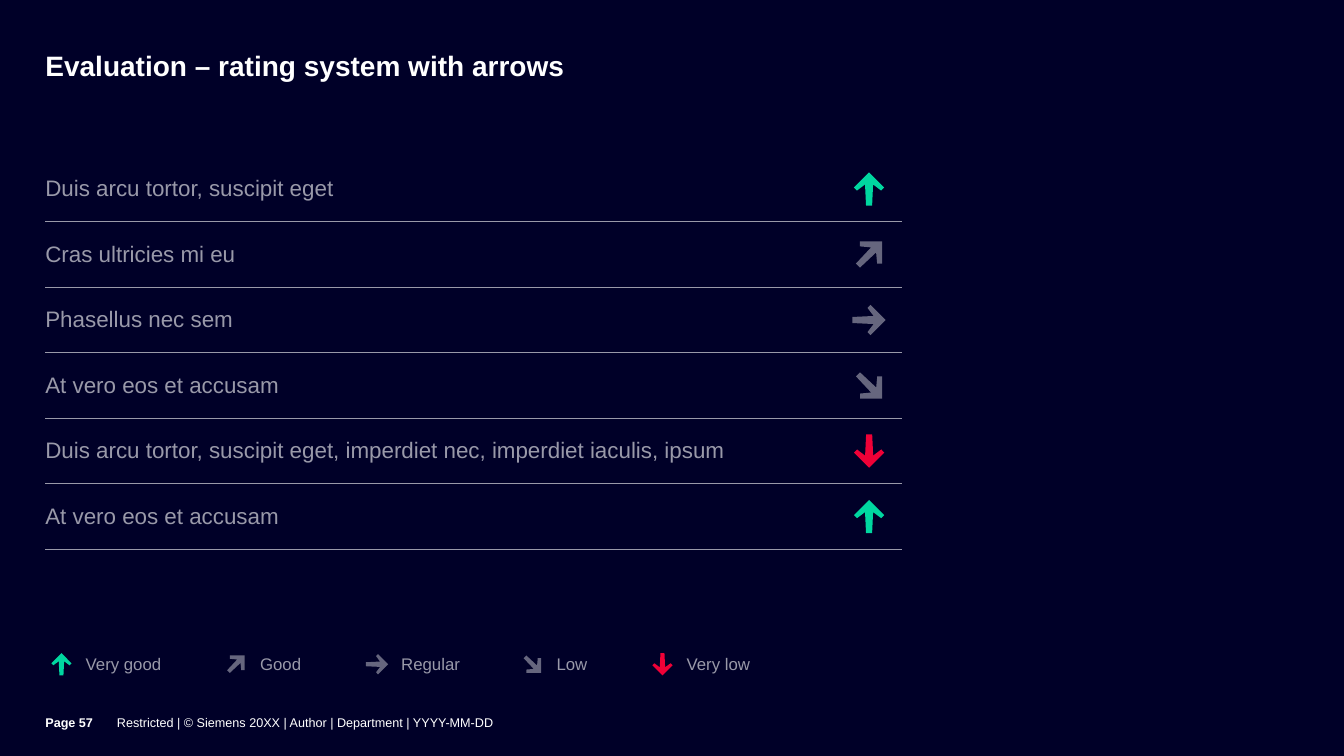
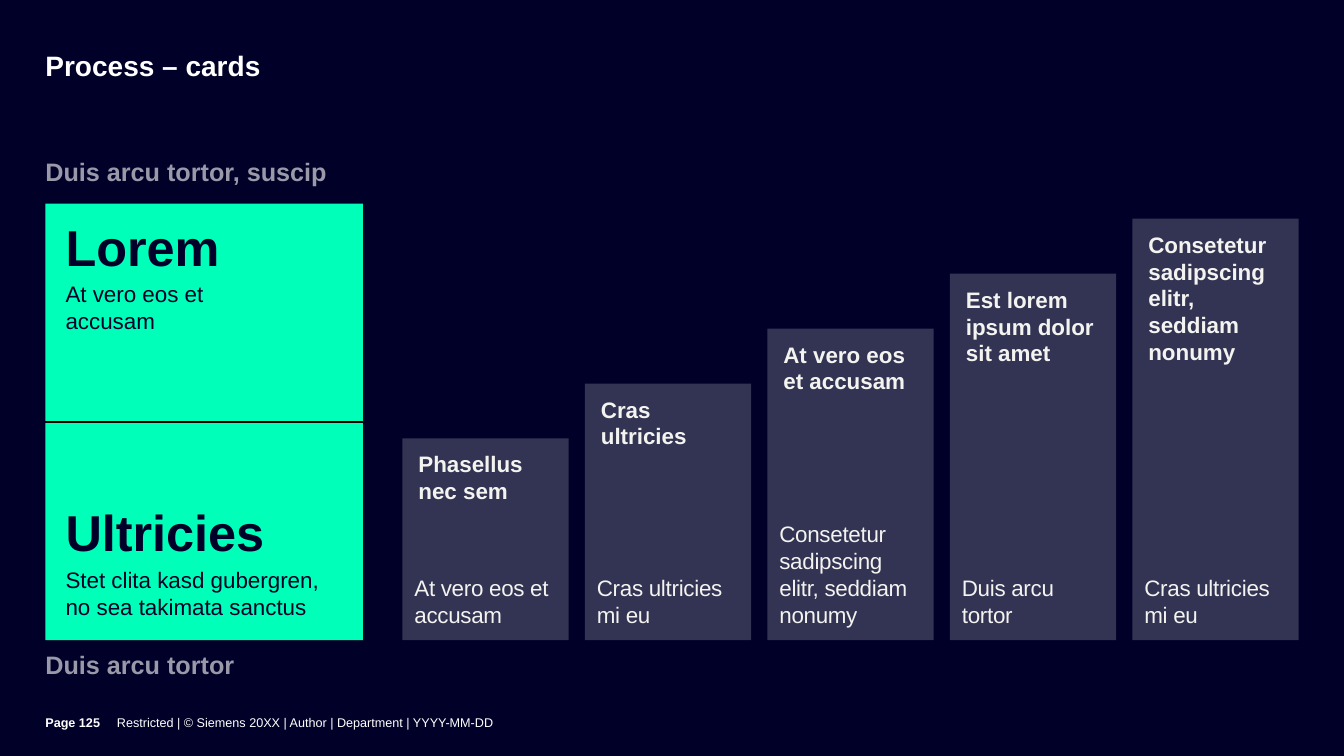
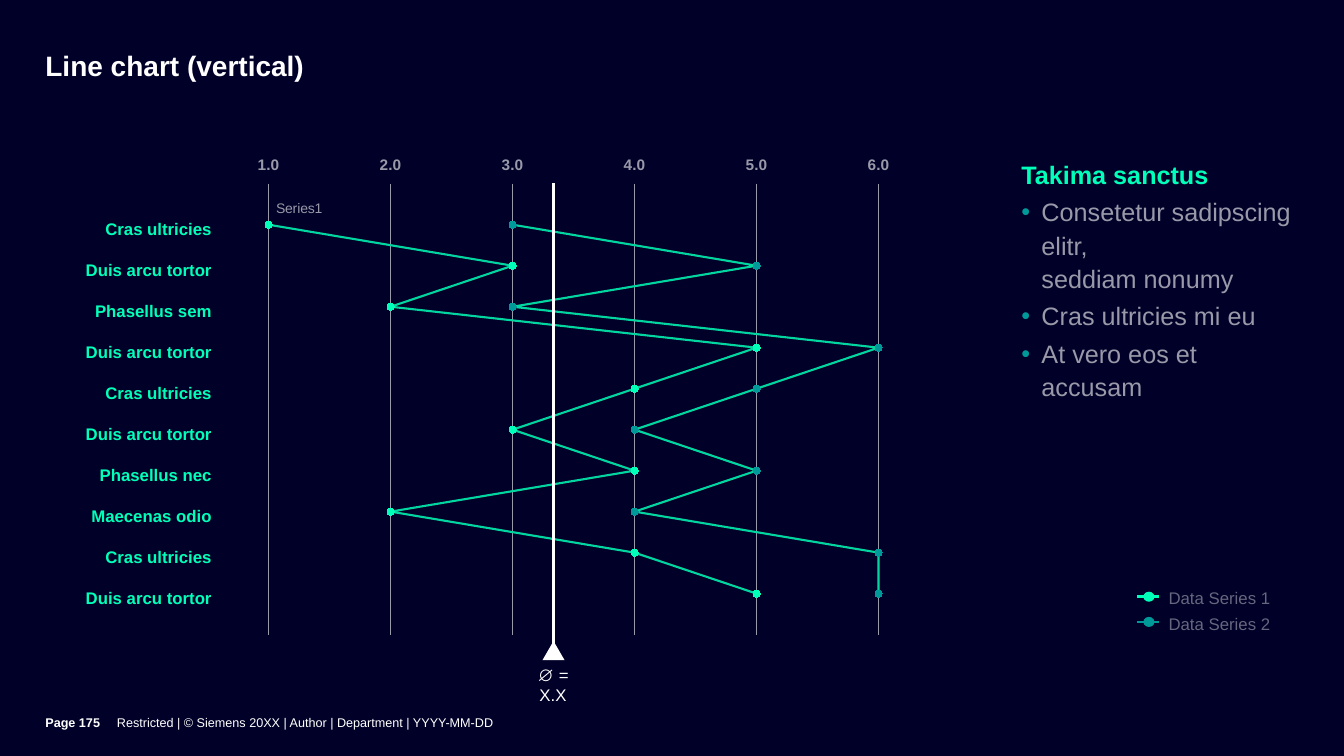
from copy import deepcopy

from pptx import Presentation
from pptx.chart.data import XyChartData
from pptx.dml.color import RGBColor
from pptx.enum.chart import (XL_AXIS_CROSSES, XL_CHART_TYPE, XL_LABEL_POSITION,
                             XL_MARKER_STYLE, XL_TICK_MARK)
from pptx.enum.shapes import MSO_CONNECTOR, MSO_SHAPE, MSO_SHAPE_TYPE
from pptx.enum.text import MSO_ANCHOR, PP_ALIGN
from pptx.oxml import parse_xml
from pptx.oxml.ns import nsdecls
from pptx.util import Inches, Pt

RECTANGLE, OVAL, TRIANGLE = MSO_SHAPE.RECTANGLE, MSO_SHAPE.OVAL, MSO_SHAPE.ISOSCELES_TRIANGLE
STRAIGHT = MSO_CONNECTOR.STRAIGHT
TOP, MIDDLE, BOTTOM = MSO_ANCHOR.TOP, MSO_ANCHOR.MIDDLE, MSO_ANCHOR.BOTTOM
LEFT, CENTER, RIGHT = PP_ALIGN.LEFT, PP_ALIGN.CENTER, PP_ALIGN.RIGHT

FONT = "Arial"
HEX = {
    "night": "000028", "white": "FFFFFF", "grey": "9999A9", "dim": "66667E",
    "card": "333353", "sand": "F3F3F0", "mint": "00FFB9", "green": "00D7A0",
    "red": "EF0137", "teal": "009999", "black": "000000",
}
COLOR = {name: RGBColor.from_string(value) for name, value in HEX.items()}

# Shared grid, in inches
MARGIN = 0.45
BODY_TOP = 1.55
BODY_RIGHT = 12.88
FOOTER_TOP, FOOTER_HEIGHT = 6.9, 0.6

# Arrow outlines, in hundredths of an inch: one points right, one up and right
ARROW_RIGHT = [(18, 0), (15, 3), (21, 11), (0, 12), (0, 18), (21, 19), (15, 27), (18, 30), (33, 15)]
ARROW_UPRIGHT = [(4, 0), (4, 5), (15, 6), (0, 22), (4, 26), (20, 11), (21, 22), (26, 22), (26, 0)]
RATINGS = {
    "Very good": (ARROW_RIGHT, 270, "green"),
    "Good": (ARROW_UPRIGHT, 0, "dim"),
    "Regular": (ARROW_RIGHT, 0, "dim"),
    "Low": (ARROW_UPRIGHT, 90, "dim"),
    "Very low": (ARROW_RIGHT, 90, "red"),
}


def write(frame, text, size=16, color="grey", bold=False, align=LEFT, anchor=None, insets=None,
          before=0, after=0, line=None, tracking=None, bullet=None):
    """Add one paragraph to a text frame; insets are left, top, right, bottom in inches."""
    frame.word_wrap = True
    if anchor is not None:
        frame.vertical_anchor = anchor
    if insets:
        (frame.margin_left, frame.margin_top,
         frame.margin_right, frame.margin_bottom) = map(Inches, insets)
    para = frame.add_paragraph() if frame.text else frame.paragraphs[0]
    para.text = text
    para.alignment = align
    if before:
        para.space_before = Pt(before)
    if after:
        para.space_after = Pt(after)
    if line:
        para.line_spacing = line
    if bullet:
        layout = para._p.get_or_add_pPr()
        layout.set("marL", str(Inches(0.2)))
        layout.set("indent", str(-Inches(0.2)))
        layout.append(parse_xml(f'<a:buClr {nsdecls("a")}><a:srgbClr val="{HEX[bullet]}"/></a:buClr>'))
        layout.append(parse_xml(f'<a:buFont {nsdecls("a")} typeface="{FONT}"/>'))
        layout.append(parse_xml(f'<a:buChar {nsdecls("a")} char="•"/>'))
    for span in para.runs:
        span.font.name, span.font.size, span.font.bold = FONT, Pt(size), bold
        span.font.color.rgb = COLOR[color]
        if tracking:
            span._r.get_or_add_rPr().set("spc", str(tracking))
    # A line break takes the format of the words around it
    for line_break in para._p.xpath("./a:br"):
        line_break.append(deepcopy(para.runs[0]._r.rPr))


def add_rating(page, rating, center_x, center_y, scale=1):
    """Draw the arrow of a rating around a centre point."""
    outline, turn, color = RATINGS[rating]
    width, height = (max(values) / 100 * scale for values in zip(*outline))
    builder = page.shapes.build_freeform(*outline[0], scale=Inches(0.01) * scale)
    builder.add_line_segments(outline[1:], close=True)
    arrow = builder.convert_to_shape(Inches(center_x - width / 2), Inches(center_y - height / 2))
    arrow.rotation = turn
    arrow.fill.solid()
    arrow.fill.fore_color.rgb = COLOR[color]


deck = Presentation()
deck.slide_width, deck.slide_height = Inches(13.33), Inches(7.5)

# Background, title and footer of every slide
pages = []
for title, number in [("Evaluation – rating system with arrows", 57),
                      ("Process – cards", 125),
                      ("Line chart (vertical)", 175)]:
    page = deck.slides.add_slide(deck.slide_layouts[6])
    page.background.fill.solid()
    page.background.fill.fore_color.rgb = COLOR["night"]
    box = page.shapes.add_textbox(Inches(MARGIN), Inches(0.52), Inches(10.79), Inches(0.63))
    write(box.text_frame, title, size=20, color="white", bold=True, line=0.9,
          insets=(0, 0, 0.35, 0.02))
    for left, width, text, bold in [
            (MARGIN, 0.71, f"Page {number}", True),
            (1.16, 10.08, "Restricted | © Siemens 20XX | Author | Department | YYYY-MM-DD", False)]:
        box = page.shapes.add_textbox(Inches(left), Inches(FOOTER_TOP),
                                      Inches(width), Inches(FOOTER_HEIGHT))
        write(box.text_frame, text, size=9, color="white", bold=bold, anchor=MIDDLE,
              insets=(0, 0, 0, 0.07))
    pages.append(page)
rating_page, card_page, chart_page = pages

# Rating table with one arrow per row
criteria = [
    ("Duis arcu tortor, suscipit eget", "Very good"),
    ("Cras ultricies mi eu", "Good"),
    ("Phasellus nec sem", "Regular"),
    ("At vero eos et accusam", "Low"),
    ("Duis arcu tortor, suscipit eget, imperdiet nec, imperdiet iaculis, ipsum", "Very low"),
    ("At vero eos et accusam", "Very good"),
]
ROW = 0.65
table_frame = rating_page.shapes.add_table(len(criteria), 1, Inches(MARGIN), Inches(BODY_TOP),
                                           Inches(8.5), Inches(ROW * len(criteria)))
table = table_frame.table
table.first_row = table.horz_banding = False
NO_STYLE = "{2D5ABB26-0587-4C30-8999-92F81FD0307C}"
table_frame.element.xpath(".//a:tableStyleId")[0].text = NO_STYLE
for row, (text, rating) in enumerate(criteria):
    cell = table.cell(row, 0)
    write(cell.text_frame, text)
    cell.vertical_anchor = MIDDLE
    cell.margin_left = cell.margin_right = 0
    cell.margin_top = cell.margin_bottom = Inches(0.08)
    cell.fill.background()
    cell._tc.get_or_add_tcPr().insert(0, parse_xml(
        f'<a:lnB {nsdecls("a")} w="{Pt(1)}"><a:solidFill><a:srgbClr val="{HEX["grey"]}"/>'
        '</a:solidFill></a:lnB>'))
    add_rating(rating_page, rating, 8.62, BODY_TOP + ROW * (row + 0.5))

# Key to the arrows
for rating, left in zip(RATINGS, (0.77, 2.5, 3.9, 5.44, 6.73)):
    add_rating(rating_page, rating, left - 0.16, 6.59, scale=2 / 3)
    box = rating_page.shapes.add_textbox(Inches(left), Inches(6.43), Inches(1.1), Inches(0.31))
    write(box.text_frame, rating, size=12, anchor=MIDDLE, insets=(0.08, 0, 0, 0))

# Large card with its two captions and two halves
CARD_WIDTH, CARD_TOP, CARD_BOTTOM = 3.15, 2.02, 6.35
for top, anchor, text in [(BODY_TOP, TOP, "Duis arcu tortor, suscip"),
                          (CARD_BOTTOM, BOTTOM, "Duis arcu tortor")]:
    box = card_page.shapes.add_textbox(Inches(MARGIN), Inches(top), Inches(CARD_WIDTH), Inches(0.39))
    write(box.text_frame, text, size=18, bold=True, anchor=anchor, insets=(0, 0, 0, 0))
card = card_page.shapes.add_shape(RECTANGLE, Inches(MARGIN), Inches(CARD_TOP),
                                  Inches(CARD_WIDTH), Inches(CARD_BOTTOM - CARD_TOP))
card.fill.solid()
card.fill.fore_color.rgb = COLOR["mint"]
lower_half = card_page.shapes.add_textbox(Inches(MARGIN), Inches(4.33),
                                          Inches(CARD_WIDTH), Inches(CARD_BOTTOM - 4.33))
for half, anchor, inset, heading, text in [
        (card, TOP, 1.97, "Lorem", "At vero eos et \vaccusam"),
        (lower_half, BOTTOM, 0.2, "Ultricies", "Stet clita kasd gubergren, no sea takimata sanctus")]:
    write(half.text_frame, heading, size=36, color="night", bold=True, anchor=anchor,
          insets=(0.2, 0.12, 0.2, inset))
    write(half.text_frame, text, color="night", before=3)
divider = card_page.shapes.add_connector(STRAIGHT, 0, 0, 0, 0)
divider.begin_connect(card, 1)
divider.end_connect(card, 3)
divider.line.color.rgb = COLOR["black"]
divider.line.width = Pt(1.5)

# Rising steps
steps = [
    ("Phasellus nec sem", "At vero eos et accusam"),
    ("Cras ultricies", "Cras ultricies mi eu"),
    ("At vero eos et accusam", "Consetetur sadipscing elitr, seddiam nonumy"),
    ("Est lorem ipsum dolor sit amet", "Duis arcu tortor"),
    ("Consetetur sadipscing elitr, seddiam nonumy", "Cras ultricies mi eu"),
]
STEP_LEFT, STEP_WIDTH, LOWEST, TALLEST, NOTE_HEIGHT = 3.99, 1.65, 2, 4.18, 1.31
step_pitch = (BODY_RIGHT - STEP_LEFT - STEP_WIDTH) / (len(steps) - 1)
step_rise = (TALLEST - LOWEST) / (len(steps) - 1)
for index, (heading, note) in enumerate(steps):
    left = Inches(STEP_LEFT + step_pitch * index)
    height = LOWEST + step_rise * index
    step = card_page.shapes.add_shape(RECTANGLE, left, Inches(CARD_BOTTOM - height),
                                      Inches(STEP_WIDTH), Inches(height))
    step.fill.solid()
    step.fill.fore_color.rgb = COLOR["card"]
    write(step.text_frame, heading, color="sand", bold=True, anchor=TOP,
          insets=(0.16, 0.12, 0.16, 0.12))
    box = card_page.shapes.add_textbox(left, Inches(CARD_BOTTOM - NOTE_HEIGHT),
                                       Inches(STEP_WIDTH), Inches(NOTE_HEIGHT))
    write(box.text_frame, note, color="sand", anchor=BOTTOM, tracking=-20, insets=(0.12,) * 4)

# Vertical line chart: two runs of ratings in one series, parted by an empty point
first_run = (1, 3, 2, 5, 4, 3, 4, 2, 4, 5)
second_run = (3, 5, 3, 6, 5, 4, 5, 4, 6, 6)
gap_index = len(first_run)
chart_data = XyChartData(number_format="0.0")
data_series = chart_data.add_series("Series 1")
for index, rating in enumerate((*first_run, 0, *second_run)):
    data_series.add_data_point(rating, 100 - 10 * (index % (gap_index + 1)))
chart = chart_page.shapes.add_chart(XL_CHART_TYPE.XY_SCATTER_LINES, Inches(2.26), Inches(BODY_TOP),
                                    Inches(10.63), Inches(5.2), chart_data).chart
for gap in chart.element.xpath(f'.//c:ser//c:pt[@idx="{gap_index}"]'):
    gap.getparent().remove(gap)
chart.has_legend = chart.has_title = False
chart.font.name, chart.font.size, chart.font.bold = FONT, Pt(10), True
chart.font.color.rgb = COLOR["white"]
series = chart.plots[0].series[0]
series.smooth = False
series.format.line.color.rgb = COLOR["green"]
series.format.line.width = Pt(1.5)
series.marker.style, series.marker.size = XL_MARKER_STYLE.CIRCLE, 5
for index in range(len(first_run) + 1 + len(second_run)):
    if index == gap_index:
        continue
    point = series.points[index]
    color = COLOR["mint" if index < gap_index else "teal"]
    point.marker.style, point.marker.size = XL_MARKER_STYLE.CIRCLE, 5
    point.marker.format.fill.solid()
    point.marker.format.fill.fore_color.rgb = color
    point.marker.format.line.fill.background()
    point.format.line.color.rgb = color
    point.format.line.width = Pt(1.5)

rating_axis, row_axis = chart.category_axis, chart.value_axis
rating_axis.minimum_scale, rating_axis.maximum_scale, rating_axis.major_unit = 1, 6.2, 1
rating_axis.major_tick_mark = XL_TICK_MARK.OUTSIDE
rating_axis.minor_tick_mark = XL_TICK_MARK.NONE
rating_axis.format.line.fill.background()
rating_axis.has_major_gridlines = True
rating_axis.major_gridlines.format.line.color.rgb = COLOR["grey"]
rating_axis.major_gridlines.format.line.width = Pt(0.5)
rating_labels = rating_axis.tick_labels
rating_labels.number_format, rating_labels.number_format_is_linked = "0.0", False
rating_labels.font.name, rating_labels.font.size, rating_labels.font.bold = FONT, Pt(11), True
rating_labels.font.color.rgb = COLOR["grey"]
row_axis.minimum_scale, row_axis.maximum_scale = 0, 110
row_axis.has_major_gridlines = False
row_axis.crosses = XL_AXIS_CROSSES.MAXIMUM
row_axis.visible = False

# Label of the first point, and fixed places for label and plot
point_label = series.points[0].data_label
write(point_label.text_frame, "Series1", size=10)
point_label.position = XL_LABEL_POSITION.RIGHT
chart.element.xpath(".//c:dLbl")[0].insert(1, parse_xml(
    f'<c:layout {nsdecls("c")}><c:manualLayout><c:x val="0"/><c:y val="-0.03"/>'
    '</c:manualLayout></c:layout>'))
plot_area = chart.element.xpath(".//c:plotArea")[0]
for layout in plot_area.xpath("./c:layout"):
    plot_area.remove(layout)
plot_area.insert(0, parse_xml(
    f'<c:layout {nsdecls("c")}><c:manualLayout><c:layoutTarget val="inner"/>'
    '<c:xMode val="edge"/><c:yMode val="edge"/><c:x val="0.038"/><c:y val="0.043"/>'
    '<c:w val="0.592"/><c:h val="0.869"/></c:manualLayout></c:layout>'))

# Category names beside the chart
categories = ["Cras ultricies", "Duis arcu tortor", "Phasellus sem", "Duis arcu tortor",
              "Cras ultricies", "Duis arcu tortor", "Phasellus nec", "Maecenas odio",
              "Cras ultricies", "Duis arcu tortor"]
category_pitch = (5.82 - 2.16) / (len(categories) - 1)
for row, category in enumerate(categories):
    box = chart_page.shapes.add_textbox(Inches(MARGIN), Inches(2.16 + category_pitch * row),
                                        Inches(1.65), Inches(0.22))
    write(box.text_frame, category, size=12, color="mint", bold=True, align=RIGHT,
          anchor=MIDDLE, insets=(0, 0, 0, 0))

# Chart key and average line
box = chart_page.shapes.add_textbox(Inches(11.59), Inches(5.81), Inches(1.3), Inches(0.73))
write(box.text_frame, "Data Series 1", size=12, color="dim", line=1.1, insets=(0, 0, 0, 0))
write(box.text_frame, "Data Series 2", size=12, color="dim", line=1.1, before=3)
for start_x, start_y, end_x, end_y, color, weight in [
        (11.28, 5.92, 11.5, 5.92, "mint", 1.75),
        (11.28, 6.17, 11.5, 6.17, "teal", 1.75),
        (5.49, 1.82, 5.49, 6.4, "white", 1.5)]:
    rule = chart_page.shapes.add_connector(STRAIGHT, Inches(start_x), Inches(start_y),
                                           Inches(end_x), Inches(end_y))
    rule.line.color.rgb = COLOR[color]
    rule.line.width = Pt(weight)
for kind, left, top, width, height, color in [
        (OVAL, 11.34, 5.87, 0.11, 0.1, "mint"),
        (OVAL, 11.34, 6.12, 0.11, 0.1, "teal"),
        (TRIANGLE, 5.38, 6.36, 0.22, 0.19, "white")]:
    marker = chart_page.shapes.add_shape(kind, Inches(left), Inches(top),
                                         Inches(width), Inches(height))
    marker.fill.solid()
    marker.fill.fore_color.rgb = COLOR[color]
box = chart_page.shapes.add_textbox(Inches(5.2), Inches(6.51), Inches(0.57), Inches(0.28))
write(box.text_frame, "∅ = X.X", size=12, color="white", align=CENTER, insets=(0, 0.08, 0, 0))

# Remarks beside the chart
box = chart_page.shapes.add_textbox(Inches(10.13), Inches(BODY_TOP), Inches(2.76), Inches(2.52))
write(box.text_frame, "Takima sanctus", size=18, color="mint", bold=True, line=1.1, after=3,
      insets=(0, 0, 0, 0))
for remark in ["Consetetur sadipscing elitr, \vseddiam nonumy", "Cras ultricies mi eu",
               "At vero eos et accusam"]:
    write(box.text_frame, remark, size=18, line=1.1, after=3, bullet="teal")

# No shadows anywhere, no outlines on filled shapes
for page in pages:
    for shape in page.shapes:
        if shape.shape_type == MSO_SHAPE_TYPE.LINE:
            shape.element.spPr.append(parse_xml(f'<a:effectLst {nsdecls("a")}/>'))
        elif shape.shape_type in (MSO_SHAPE_TYPE.AUTO_SHAPE, MSO_SHAPE_TYPE.FREEFORM):
            shape.line.fill.background()
            shape.shadow.inherit = False

deck.save("out.pptx")
